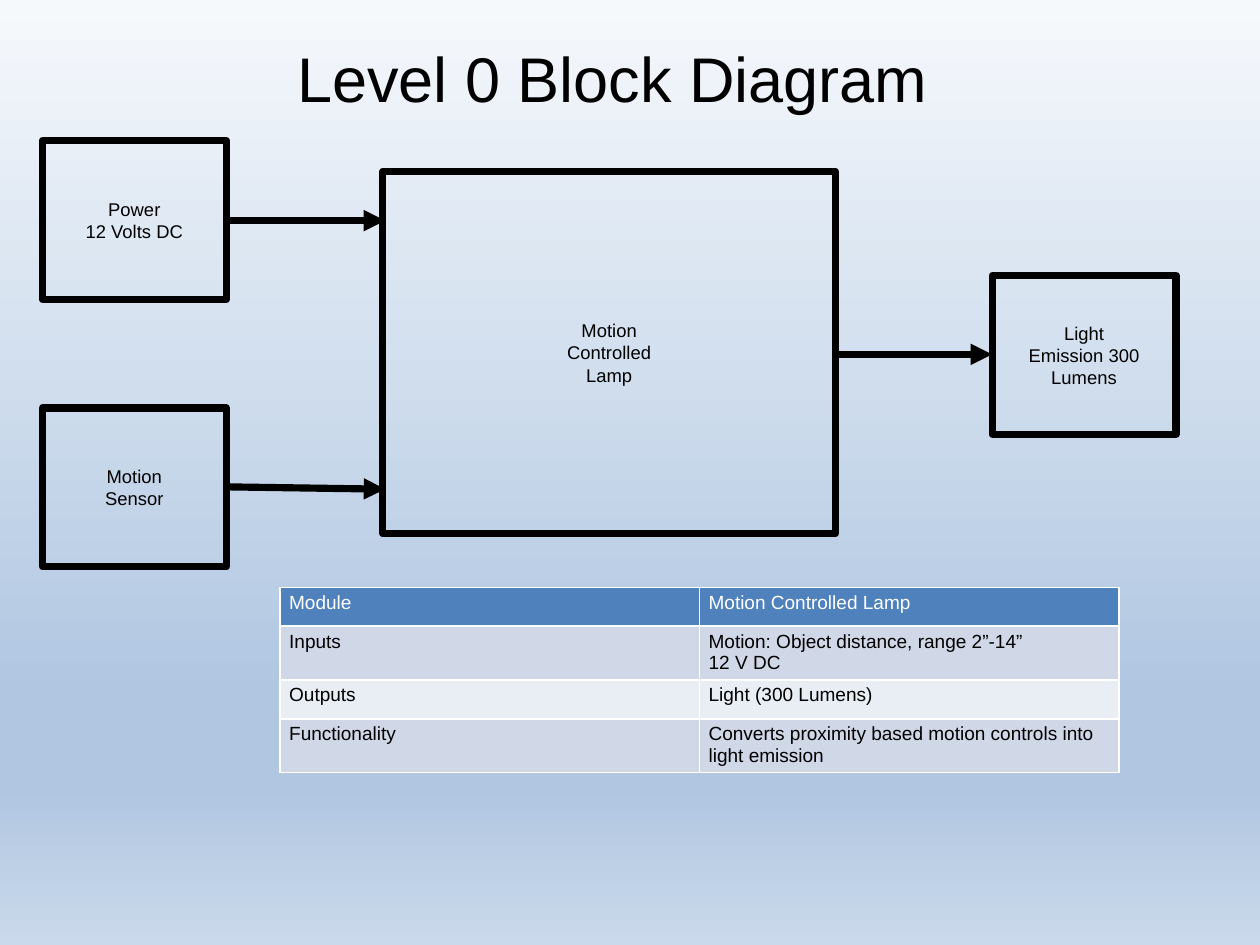
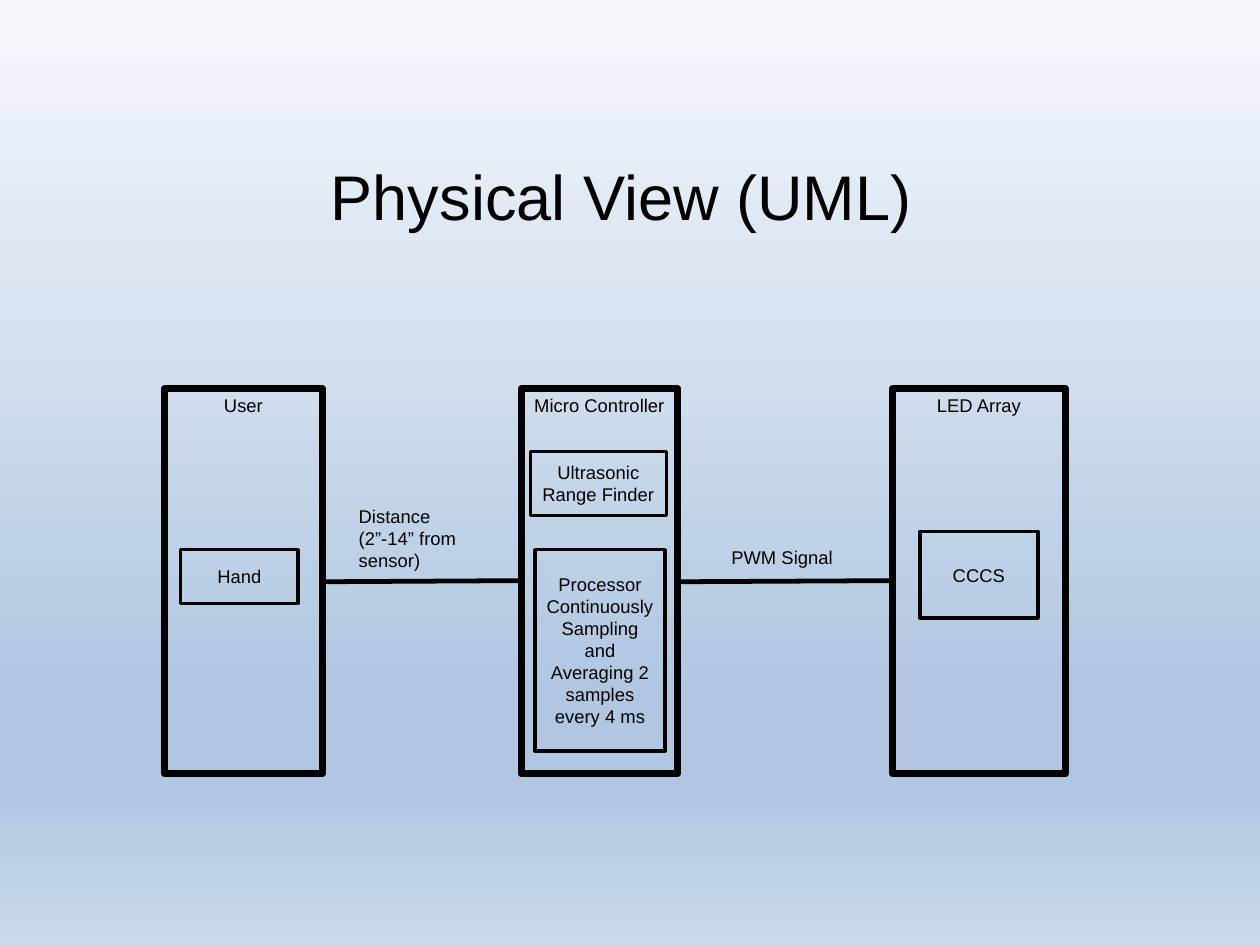
from lxml import etree
from pptx import Presentation
from pptx import util as u
from pptx.dml.color import RGBColor
from pptx.enum import shapes, text
from pptx.oxml import ns

FONT, BLACK, WHITE = "Arial", "000000", "FFFFFF"
BODY, TITLE, CELL = 11.6, 39.7, 12
THICK, MEDIUM, THIN = 4.5, 3, 2.25
CENTER, LEFT = text.PP_ALIGN.CENTER, text.PP_ALIGN.LEFT
TOP, MIDDLE = text.MSO_ANCHOR.TOP, text.MSO_ANCHOR.MIDDLE
SKY = [(0, "F6F9FC"), (74, "B0C6E1"), (83, "B0C6E1"), (100, "CAD9EB")]

BLOCK = (1.61, 1.39)
LAMP = ((3.35, 1.5, 3.96, 3.17), ["Motion", "Controlled", "Lamp"])
BLOCKS = [
    ((8.68, 2.41), ["Light", "Emission 300 Lumens"]),
    ((0.37, 3.57), ["Motion", "Sensor"]),
    ((0.37, 1.23), ["Power", "12 Volts DC"]),
]
ARROWS = [
    ((7.31, 3.1), (8.68, 3.1)),
    ((2, 1.93), (3.37, 1.93)),
    ((2.01, 4.26), (3.37, 4.28)),
]
MODULE = [
    ("Module", "Motion Controlled Lamp"),
    ("Inputs", "Motion: Object distance, range 2”-14” \n12 V DC"),
    ("Outputs", "Light (300 Lumens)"),
    ("Functionality", "Converts proximity based motion controls into light emission"),
]
ROW_HEIGHTS = [0.34, 0.47, 0.34, 0.47]
ROW_FILLS = ["4F81BD", "D0D8E8", "E9EDF4", "D0D8E8"]

NODE_TOP, NODE_HEIGHT = 3.4, 3.37
NODES = [
    (1.44, 1.38, "User"),
    (4.56, 1.37, "Micro Controller"),
    (7.81, 1.51, "LED Array"),
]
PARTS = [
    ((1.58, 4.81, 1.03, 0.47), ["Hand"]),
    ((4.64, 3.95, 1.19, 0.56), ["Ultrasonic Range Finder"]),
    ((8.05, 4.65, 1.03, 0.76), ["CCCS"]),
    ((4.68, 4.81, 1.14, 1.76),
     ["Processor Continuously", "Sampling and Averaging 2 samples every 4 ms"]),
]
LINKS = [((2.82, 5.09), (4.56, 5.08)), ((5.91, 5.09), (7.82, 5.08))]
LABELS = [
    ((6.3, 4.73, 1.6, 0.3), ["PWM Signal"]),
    ((3.04, 4.37, 1.34, 0.69), ["Distance ", "(2”-14” from sensor)"]),
]


def rgb(value):
    return RGBColor.from_string(value)


def inches(values):
    return [u.Inches(v) for v in values]


def sub(parent, tag, **attrs):
    el = etree.SubElement(parent, ns.qn("a:" + tag))
    for key, value in attrs.items():
        el.set(key, str(value))
    return el


def apply(obj, values):
    for key, value in values.items():
        setattr(obj, key, value)


def write(tf, lines, size=BODY, color=BLACK, align=CENTER):
    for i, line in enumerate(lines):
        p = tf.add_paragraph() if i else tf.paragraphs[0]
        p.alignment = align
        r = p.add_run()
        r.text = line
        apply(r.font, {"name": FONT, "size": u.Pt(size)})
        r.font.color.rgb = rgb(color)


def frame(tf, anchor=TOP, side=0.1):
    apply(tf, {
        "word_wrap": True, "vertical_anchor": anchor,
        "margin_left": u.Inches(side), "margin_right": u.Inches(side),
        "margin_top": u.Inches(0.05), "margin_bottom": u.Inches(0.05),
    })
    return tf


def stroke(sp, weight):
    sp.line.width = u.Pt(weight)
    sp.line.color.rgb = rgb(BLACK)


def box(s, at, lines, weight=THICK, anchor=MIDDLE):
    sp = s.shapes.add_shape(shapes.MSO_SHAPE.RECTANGLE, *inches(at))
    sp.shadow.inherit = False
    sp.fill.background()
    stroke(sp, weight)
    write(frame(sp.text_frame, anchor, 0.09), lines)


def label(s, at, lines, **style):
    write(frame(s.shapes.add_textbox(*inches(at)).text_frame), lines, **style)


def link(s, start, end, weight, arrow=False):
    sp = s.shapes.add_connector(shapes.MSO_CONNECTOR.STRAIGHT, *inches(start + end))
    stroke(sp, weight)
    if arrow:
        sub(sp._element.spPr.find(ns.qn("a:ln")), "tailEnd", type="triangle")
    sub(sp._element.spPr, "effectLst")


def blank_slide(prs):
    return prs.slides.add_slide(prs.slide_layouts[6])


def add_title(s, title, top):
    label(s, (1.27, top, 8.33, 0.77), [title], size=TITLE)


def paint_background(master):
    fill = master.background.fill
    fill.gradient()
    grad = master._element.find(".//" + ns.qn("p:bgPr")).find(ns.qn("a:gradFill"))
    for child in list(grad):
        grad.remove(child)
    stops = sub(grad, "gsLst")
    for pos, color in SKY:
        sub(sub(stops, "gs", pos=pos * 1000), "srgbClr", val=color)
    sub(grad, "lin", ang=90 * 60000, scaled=0)


def add_module_table(s):
    at = (2.45, 5.14, 7.34, sum(ROW_HEIGHTS))
    table = s.shapes.add_table(len(MODULE), 2, *inches(at)).table
    for i, row in enumerate(MODULE):
        table.rows[i].height = u.Inches(ROW_HEIGHTS[i])
        for j, words in enumerate(row):
            cell = table.cell(i, j)
            tcPr = cell._tc.get_or_add_tcPr()
            for side in "LRTB":
                weight = 1.5 if (i, side) in [(0, "B"), (1, "T")] else 1
                ln = sub(tcPr, "ln" + side, w=u.Pt(weight))
                sub(sub(ln, "solidFill"), "srgbClr", val=WHITE)
            cell.fill.solid()
            cell.fill.fore_color.rgb = rgb(ROW_FILLS[i])
            write(cell.text_frame, words.split("\n"), size=CELL,
                  color=BLACK if i else WHITE, align=LEFT)
            apply(cell, {
                "margin_left": u.Inches(0.08), "margin_right": u.Inches(0.08),
                "margin_top": u.Inches(0.04), "margin_bottom": u.Inches(0.03),
                "vertical_anchor": TOP,
            })


def block_diagram(prs):
    s = blank_slide(prs)
    box(s, *LAMP)
    for start, end in ARROWS:
        link(s, start, end, THICK, arrow=True)
    for corner, lines in BLOCKS:
        box(s, corner + BLOCK, lines)
    add_module_table(s)
    add_title(s, "Level 0 Block Diagram ", 0.3)


def physical_view(prs):
    s = blank_slide(prs)
    for left, width, name in NODES:
        box(s, (left, NODE_TOP, width, NODE_HEIGHT), [name], anchor=TOP)
    for at, lines in PARTS:
        box(s, at, lines, weight=THIN)
    for start, end in LINKS:
        link(s, start, end, MEDIUM)
    for at, lines in LABELS:
        label(s, at, lines, align=LEFT)
    add_title(s, "Physical View (UML)", 1.33)


prs = Presentation()
apply(prs, {"slide_width": u.Cm(28), "slide_height": u.Cm(21)})
paint_background(prs.slide_master)
block_diagram(prs)
physical_view(prs)
prs.save("out.pptx")
